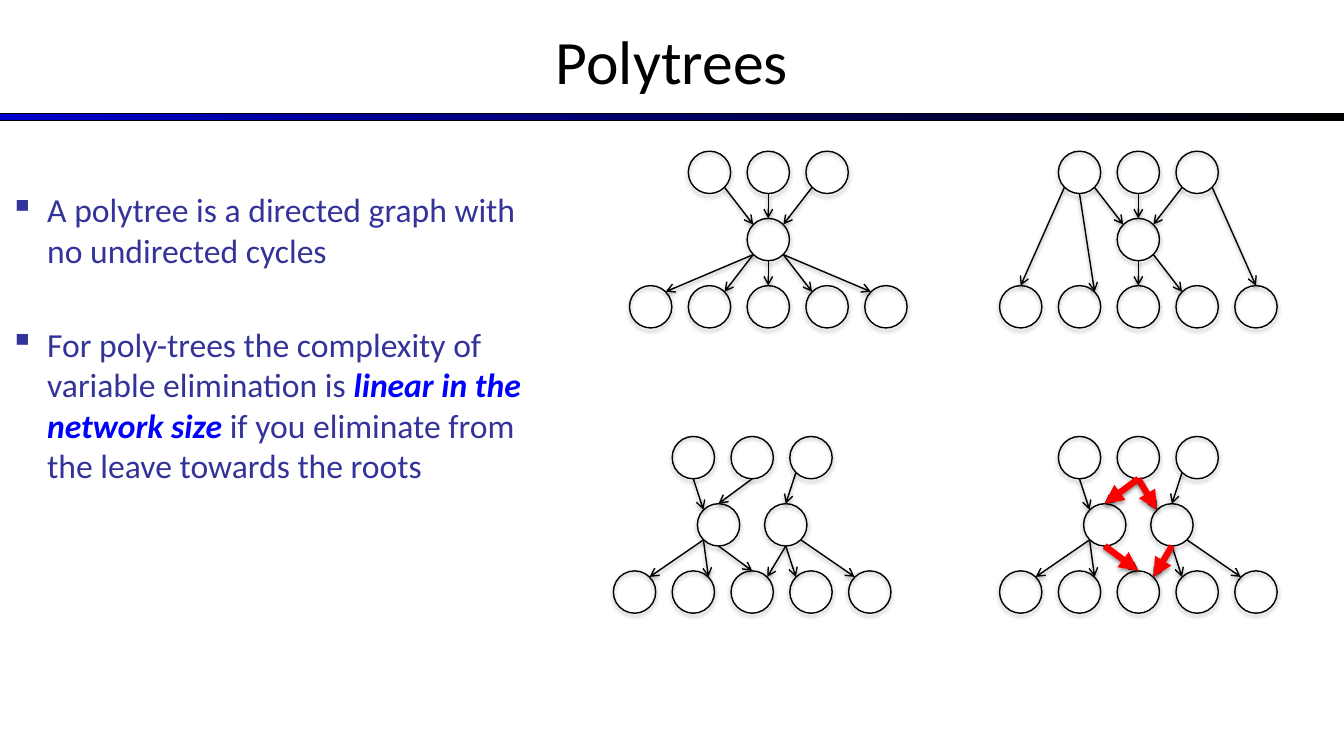
from lxml import etree
from pptx import Presentation
from pptx.dml.color import RGBColor
from pptx.enum import shapes, text
from pptx.oxml import ns
from pptx.util import Inches, Pt

BLACK = RGBColor(0x00, 0x00, 0x00)
NAVY = RGBColor(0x33, 0x33, 0x99)
BLUE = RGBColor(0x00, 0x00, 0xFF)
DEEP = RGBColor(0x00, 0x00, 0xCC)
RED = RGBColor(0xFF, 0x00, 0x00)

deck = Presentation()
deck.slide_width, deck.slide_height = Inches(13.33), Inches(7.5)
slide = deck.slides.add_slide(deck.slide_layouts[6])


def add_shadow(item, dist, alpha):
    props = item._element.spPr
    for old in props.findall(ns.qn("a:effectLst")):
        props.remove(old)
    effects = etree.SubElement(props, ns.qn("a:effectLst"))
    outer = etree.SubElement(effects, ns.qn("a:outerShdw"), blurRad=str(Pt(3.1)),
                             dist=str(Pt(dist)), dir="5400000", rotWithShape="0")
    color = etree.SubElement(outer, ns.qn("a:srgbClr"), val=str(BLACK))
    etree.SubElement(color, ns.qn("a:alpha"), val=str(alpha * 1000))


def add_arrow(start, end, color, width, head):
    line = slide.shapes.add_connector(shapes.MSO_CONNECTOR.STRAIGHT,
                                      *[Inches(v) for v in start + end])
    line.line.color.rgb = color
    line.line.width = Pt(width)
    etree.SubElement(line.line._get_or_add_ln(), ns.qn("a:tailEnd"), type=head)
    add_shadow(line, 1.6, 38)


# Gradient rule under the title
rule = slide.shapes.add_shape(shapes.MSO_SHAPE.RECTANGLE, 0, Inches(1.13),
                              Inches(13.33), Inches(0.07))
rule.shadow.inherit = False
rule.fill.gradient()
rule.fill.gradient_angle = 0
for stop, color in zip(rule.fill.gradient_stops, (DEEP, BLACK)):
    stop.color.rgb = color
rule.line.color.rgb = BLACK
rule.line.width = Pt(0.75)

# Title
title = slide.shapes.add_textbox(0, Inches(-0.03), Inches(13.33), Inches(1.25)).text_frame
title.word_wrap = True
title.vertical_anchor = text.MSO_ANCHOR.MIDDLE
title.text = "Polytrees"
para = title.paragraphs[0]
para.alignment = text.PP_ALIGN.CENTER
para.font.name, para.font.size = "Calibri", Pt(44)
para.font.color.rgb = BLACK

# Bullets: each is a list of (words, stressed)
bullets = [
    [("A polytree is a directed graph with no undirected cycles", False)],
    [("For poly-trees the complexity of variable elimination is ", False),
     ("linear in the network size ", True),
     ("if you eliminate from the leave towards the roots", False)],
]
body = slide.shapes.add_textbox(0, Inches(1.83), Inches(5.58), Inches(4.87)).text_frame
body.word_wrap = True
for i, parts in enumerate(bullets):
    para = body.add_paragraph() if i else body.paragraphs[0]
    props = para._p.get_or_add_pPr()
    props.set("marL", str(Inches(0.37)))
    props.set("indent", str(Inches(-0.37)))
    tint = etree.SubElement(props, ns.qn("a:buClr"))
    etree.SubElement(tint, ns.qn("a:srgbClr"), val=str(NAVY))
    etree.SubElement(props, ns.qn("a:buChar"), char="▪")
    if i:
        para.space_before = Pt(38.4)
    for words, stressed in parts:
        run = para.add_run()
        run.text = words
        run.font.name, run.font.size = "Calibri", Pt(24)
        run.font.bold = run.font.italic = stressed
        run.font.color.rgb = BLUE if stressed else NAVY

# Graphs: rows t, m, b hold the nodes; an edge joins "node+side" to "node+side"
SIZE = 0.42
GAP = 7 / 12
DROP = 2 / 3
DIAG = 0.15
SIDES = {"n": (0, -SIZE / 2), "s": (0, SIZE / 2), "nw": (-DIAG, -DIAG),
         "ne": (DIAG, -DIAG), "sw": (-DIAG, DIAG), "se": (DIAG, DIAG)}
ONE, TWO = [0], [-1 / 3, 1 / 3]
merge = "t0se-m0nw t1s-m0n t2sw-m0ne "
double = ("t0s-m0nw t1s-m0n t2sw-m1n m0sw-b0ne m0sw-b1ne "
          "m0s-b2n m1s-b3nw m1se-b4nw m1s-b2ne")
cycle = "t1s-m1nw m1s-b2ne m0s-b2n t1s-m0n"
graphs = [  # centre x, top row y, middle row, edges, cycle edges
    (7.62, 1.71, ONE, merge + "m0sw-b0ne m0sw-b1ne m0s-b2n m0se-b3nw m0se-b4nw", ""),
    (11.29, 1.71, ONE, merge + "t0sw-b0n t0s-b1ne m0s-b2n m0se-b3nw t2se-b4n", ""),
    (7.46, 4.54, TWO, double, ""),
    (11.29, 4.54, TWO, double + " t1s-m1nw", cycle),
]
for left, top, middle, edges, loop in graphs:
    rows = {"t": [GAP * k for k in (-1, 0, 1)], "m": middle,
            "b": [GAP * k for k in (-2, -1, 0, 1, 2)]}
    nodes = {f"{name}{k}": (left + x, top + DROP * level)
             for level, (name, row) in enumerate(rows.items())
             for k, x in enumerate(row)}
    for x, y in nodes.values():
        node = slide.shapes.add_shape(shapes.MSO_SHAPE.OVAL, Inches(x - SIZE / 2),
                                      Inches(y - SIZE / 2), Inches(SIZE), Inches(SIZE))
        node.fill.background()
        node.line.color.rgb = BLACK
        node.line.width = Pt(1)
        add_shadow(node, 1.8, 35)
    for group, color, width, head in ((edges, BLACK, 1, "arrow"), (loop, RED, 4.5, "triangle")):
        for edge in group.split():
            ends = []
            for end in edge.split("-"):
                x, y = nodes[end[:2]]
                dx, dy = SIDES[end[2:]]
                ends.append((x + dx, y + dy))
            add_arrow(*ends, color, width, head)

deck.save("out.pptx")
